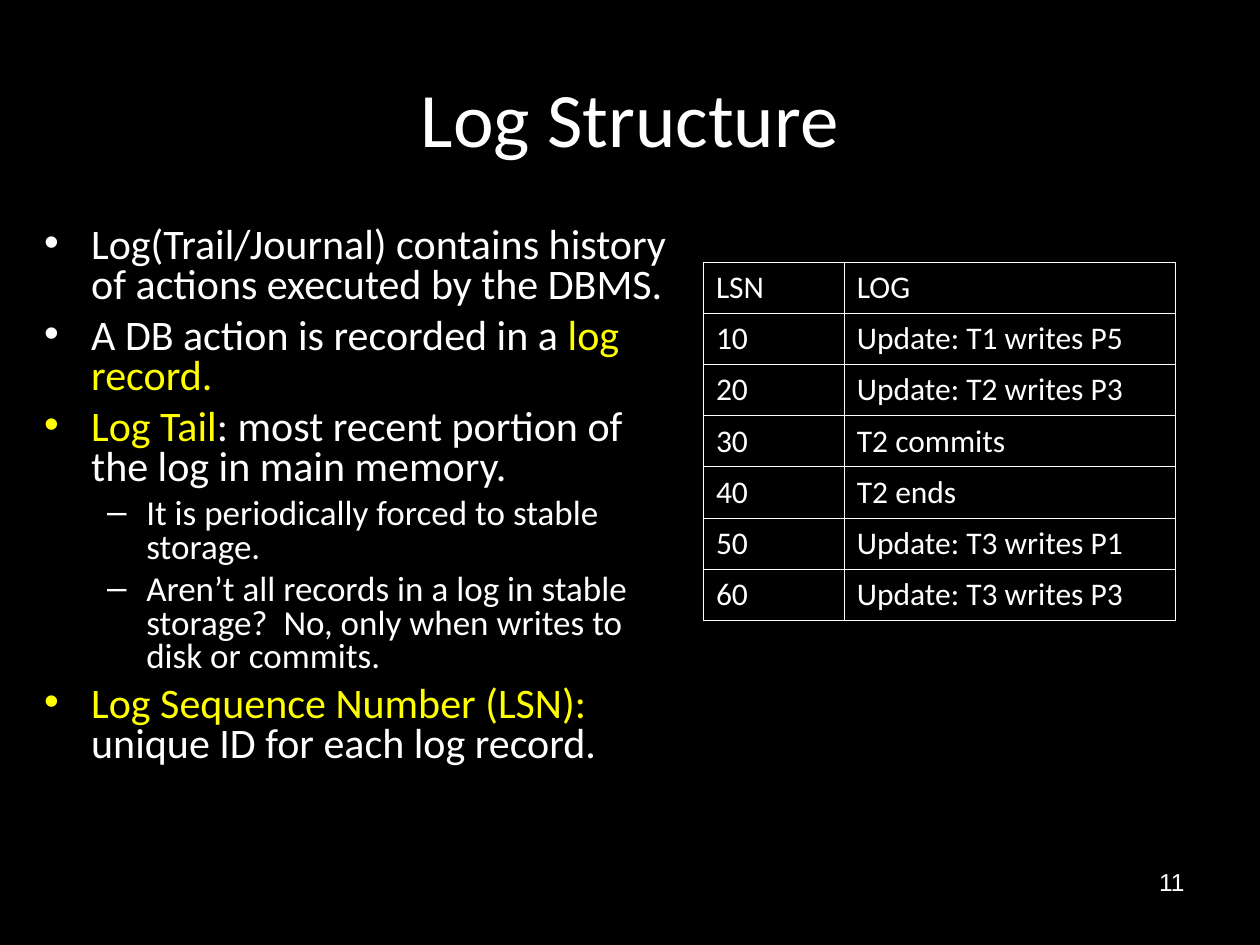
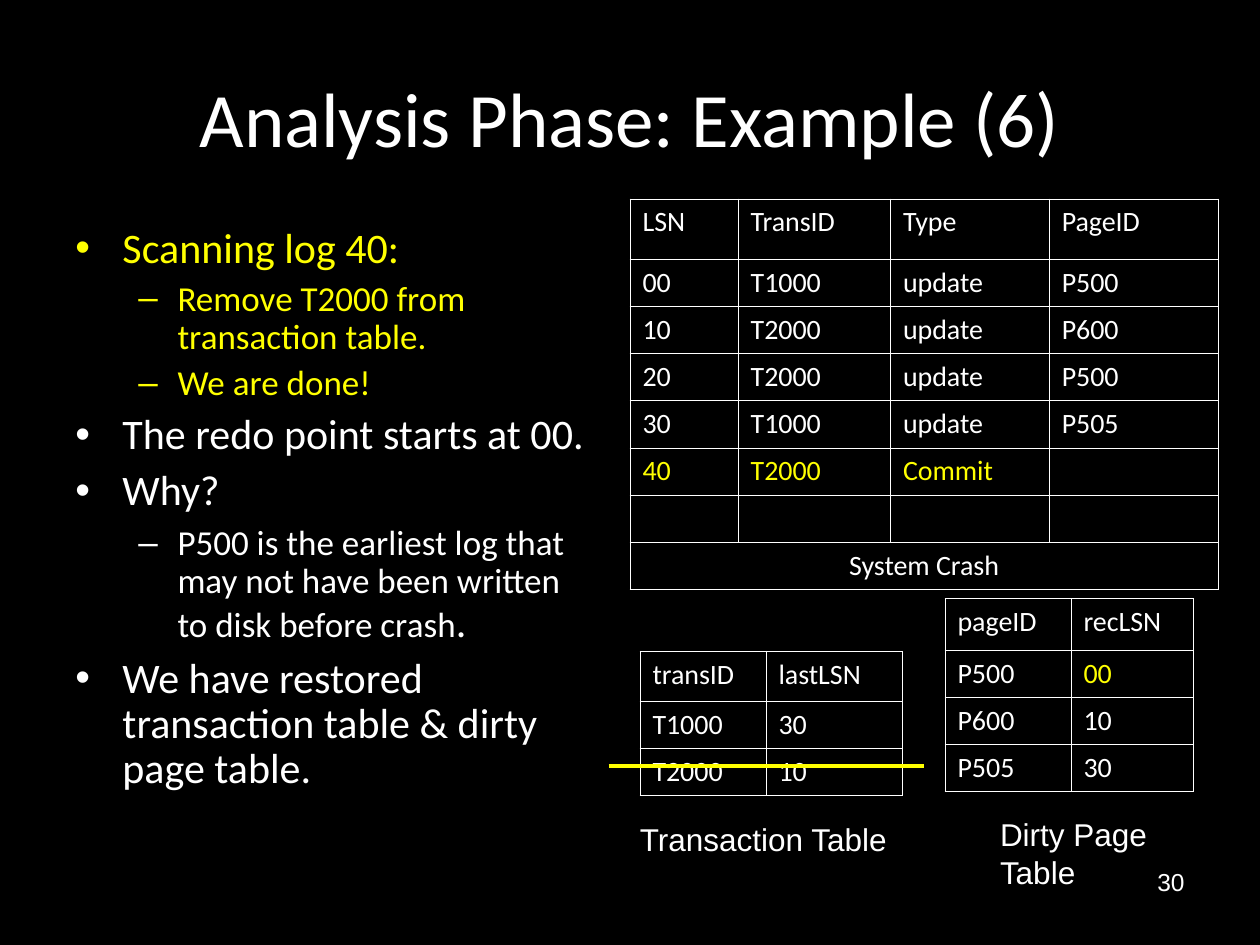
from lxml import etree
from pptx import Presentation
from pptx import util as u
from pptx.dml.color import RGBColor
from pptx.enum import shapes, text
from pptx.oxml.ns import qn

HUES = {"back": "000000", "text": "FFFFFF", "hot": "FFFF00"}
HEAD, SIDE = "Calibri", "Arial"
LEVELS = [  # bullet, text size, left indent and hanging indent in cm
    ("•", 24, 0.95, 0.95),
    ("–", 20, 2.06, 0.79),
]


def rgb(hue):
    return RGBColor.from_string(HUES[hue])


def place(*sizes):
    return [u.Cm(size) for size in sizes]


def style(run, size, face=HEAD, hue="text"):
    run.font.size = u.Pt(size)
    run.font.name = face
    run.font.color.rgb = rgb(hue)


def tint(node, hue):
    etree.SubElement(node, qn("a:srgbClr"), val=HUES[hue])


def add_title(slide, words):
    title = slide.shapes.title
    title.left, title.top, title.width, title.height = place(1.27, 0.76, 22.86, 3.18)
    frame = title.text_frame
    frame.text = words
    frame.vertical_anchor = text.MSO_ANCHOR.MIDDLE
    para = frame.paragraphs[0]
    para.alignment = text.PP_ALIGN.CENTER
    style(para.runs[0], 44)


def add_label(slide, box, words, size=18, align=text.PP_ALIGN.LEFT):
    frame = slide.shapes.add_textbox(*place(*box)).text_frame
    frame.word_wrap = True
    frame.text = words
    for para in frame.paragraphs:
        para.alignment = align
        style(para.runs[0], size, SIDE)


def add_bullet(para, level, hue):
    mark, _, left, hang = LEVELS[level]
    para.level = level
    props = para._p.get_or_add_pPr()
    props.set("marL", str(u.Cm(left)))
    props.set("indent", str(-u.Cm(hang)))
    tint(etree.SubElement(props, qn("a:buClr")), hue)
    etree.SubElement(props, qn("a:buFont"), typeface=SIDE)
    etree.SubElement(props, qn("a:buChar"), char=mark)


def add_points(slide, box, points, pitch):
    """Each point is a level and pieces of (words, hue[, size])."""
    frame = slide.shapes.add_textbox(*place(*box)).text_frame
    frame.word_wrap = True
    for i, (level, *pieces) in enumerate(points):
        para = frame.add_paragraph() if i else frame.paragraphs[0]
        add_bullet(para, level, pieces[0][1])
        para.line_spacing = pitch
        sizes = []
        for words, hue, *size in pieces:
            run = para.add_run()
            run.text = words
            sizes.append(size[0] if size else LEVELS[level][1])
            style(run, sizes[-1], hue=hue)
        if i:
            para.space_before = u.Pt(max(sizes) / 4)


def add_edges(cell):
    props = cell._tc.get_or_add_tcPr()
    for side in ("lnL", "lnR", "lnT", "lnB"):
        line = etree.SubElement(props, qn("a:" + side), w=str(u.Pt(0.45)))
        tint(etree.SubElement(line, qn("a:solidFill")), "text")
    cell.fill.background()


def add_grid(slide, spot, cols, tall, rows, size=16, hot=()):
    """Draw a table; hot holds the (row, column) pairs to highlight."""
    box = place(*spot, sum(cols), sum(tall))
    grid = slide.shapes.add_table(len(rows), len(cols), *box).table
    for col, wide in zip(grid.columns, cols):
        col.width = u.Cm(wide)
    for row, high in zip(grid.rows, tall):
        row.height = u.Cm(high)
    for r, row in enumerate(rows):
        for c, words in enumerate(row):
            cell = grid.cell(r, c)
            add_edges(cell)
            cell.text_frame.text = words
            para = cell.text_frame.paragraphs[0]
            for run in para.runs:
                style(run, size, hue="hot" if (r, c) in hot else "text")
            if not words:
                etree.SubElement(para._p, qn("a:endParaRPr"), sz=str(size * 100))
    return grid


def add_strike(slide, left, right, top):
    line = slide.shapes.add_connector(
        shapes.MSO_CONNECTOR.STRAIGHT, *place(left, top, right, top))
    line.line.color.rgb = rgb("hot")
    line.line.width = u.Pt(2.25)
    etree.SubElement(line._element.spPr, qn("a:effectLst"))


def add_slide(deck, title, number):
    slide = deck.slides.add_slide(deck.slide_layouts[5])
    add_label(slide, (18.21, 17.35, 5.92, 1.32), number, 14, text.PP_ALIGN.RIGHT)
    add_title(slide, title)
    return slide


def add_log(deck):
    slide = add_slide(deck, "Log Structure", "11")
    add_points(slide, (0.64, 4.45, 13.34, 12.57), [
        (0, ("Log(Trail/Journal) contains history of actions executed by the DBMS.",
             "text")),
        (0, ("A DB action is recorded in a ", "text"), ("log record.", "hot")),
        (0, ("Log Tail", "hot"),
         (": most recent portion of the log in main memory.", "text")),
        (1, ("It is periodically forced to stable storage.", "text")),
        (1, ("Aren’t all records in a log in stable storage?  "
             "No, only when writes to disk or commits.", "text")),
        (0, ("Log Sequence Number (LSN):", "hot"),
         (" unique ID for each log record.", "text")),
    ], 0.8)
    rows = [
        ("LSN", "LOG"),
        ("10", "Update: T1 writes P5"),
        ("20", "Update: T2 writes P3"),
        ("30", "T2 commits"),
        ("40", "T2 ends"),
        ("50", "Update: T3 writes P1"),
        ("60", "Update: T3 writes P3"),
    ]
    add_grid(slide, (14.18, 5.29), (2.84, 6.68), [1.03] * len(rows), rows, 18)


def add_phase(deck):
    slide = add_slide(deck, "Analysis Phase: Example (6)", "30")
    add_points(slide, (1.27, 4.45, 11, 12.57), [
        (0, ("Scanning log 40:", "hot")),
        (1, ("Remove T2000 from transaction table.", "hot")),
        (1, ("We are done!", "hot")),
        (0, ("The redo point starts at 00.", "text")),
        (0, ("Why?", "text")),
        (1, ("P500 is the earliest log that may not have been written "
             "to disk before crash", "text"), (".", "text", 24)),
        (0, ("We have restored transaction table & dirty page table.", "text")),
    ], 0.9)

    high = 0.95
    log = add_grid(slide, (12.7, 4.01), (2.18, 3.07, 3.2, 3.41), [1.22] + [high] * 7, [
        ("LSN", "TransID", "Type", "PageID"),
        ("00", "T1000", "update", "P500"),
        ("10", "T2000", "update", "P600"),
        ("20", "T2000", "update", "P500"),
        ("30", "T1000", "update", "P505"),
        ("40", "T2000", "Commit", ""),
        ("", "", "", ""),
        ("System Crash", "", "", ""),
    ], hot={(5, 0), (5, 1), (5, 2)})
    crash = log.cell(7, 0)
    crash.merge(log.cell(7, 3))
    crash.text_frame.paragraphs[0].alignment = text.PP_ALIGN.CENTER

    add_grid(slide, (19.05, 12.07), (2.54, 2.46), [1.04] + [high] * 3, [
        ("pageID", "recLSN"),
        ("P500", "00"),
        ("P600", "10"),
        ("P505", "30"),
    ], hot={(1, 1)})
    add_grid(slide, (12.9, 13.13), (2.54, 2.75), [1.01] + [high] * 2, [
        ("transID", "lastLSN"),
        ("T1000", "30"),
        ("T2000", "10"),
    ])
    add_label(slide, (12.65, 16.41, 5.84, 1.02), "Transaction Table")
    add_label(slide, (19.91, 16.31, 3.81, 1.78), "Dirty Page\nTable")
    add_strike(slide, 12.27, 18.62, 15.45)


def main():
    deck = Presentation()
    deck.slide_width, deck.slide_height = place(25.4, 19.05)
    fill = deck.slide_master.background.fill
    fill.solid()
    fill.fore_color.rgb = rgb("back")
    add_log(deck)
    add_phase(deck)
    deck.save("out.pptx")


if __name__ == "__main__":
    main()
